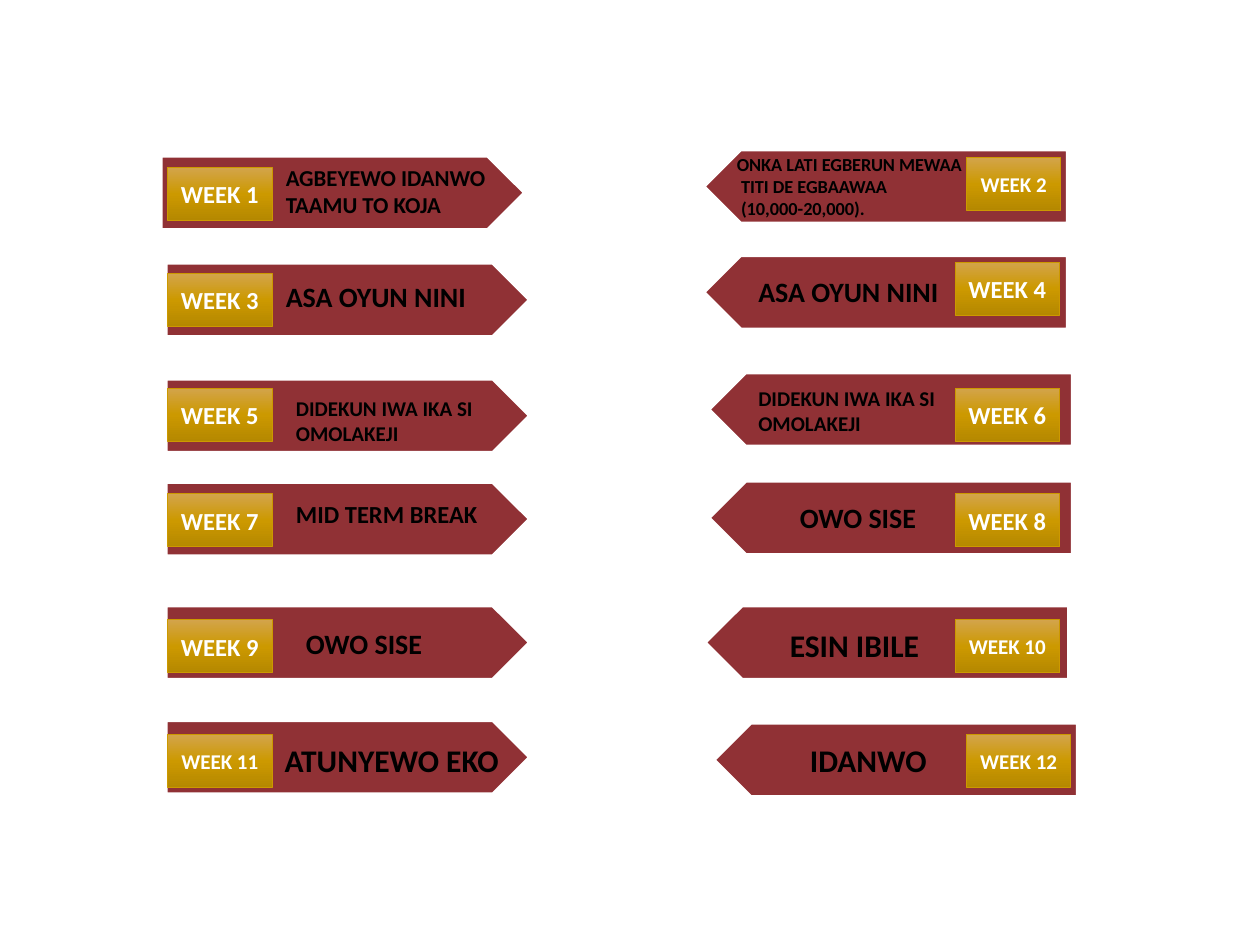
import copy

import pptx
import pptx.dml.color
import pptx.enum.shapes
import pptx.enum.text
import pptx.oxml.ns
import pptx.util

PX = 9144
MAROON = pptx.dml.color.RGBColor(0x90, 0x31, 0x35)
GOLD_LIGHT = pptx.dml.color.RGBColor(0xD3, 0xA4, 0x4B)
GOLD = pptx.dml.color.RGBColor(0xCC, 0x99, 0x00)
GOLD_DARK = pptx.dml.color.RGBColor(0xB5, 0x88, 0x00)
WHITE = pptx.dml.color.RGBColor(0xFF, 0xFF, 0xFF)
BLACK = pptx.dml.color.RGBColor(0x00, 0x00, 0x00)
SHAPES = pptx.enum.shapes.MSO_SHAPE

ARROW_SIZE = (288, 58)
BADGE_HEIGHT = 42

# arrow corner, badge (left, top, width, size), topic box, topic size, topic
WEEKS = [
    ((128, 124), (133, 133, 83, 14), (217, 125, 200, 54), 13, "AGBEYEWO IDANWO\nTAAMU TO KOJA"),
    ((559, 119), (767, 125, 75, 12), (575, 117, 258, 63), 10.5,
     "ONKA LATI EGBERUN MEWAA\n TITI DE EGBAAWAA\n (10,000-20,000)."),
    ((132, 209), (133, 217, 83, 14), (217, 217, 165, 37), 16, "ASA OYUN NINI"),
    ((559, 203), (758, 208, 83, 14), (592, 213, 165, 37), 16, "ASA OYUN NINI"),
    ((132, 301), (133, 308, 83, 14), (225, 309, 167, 50), 12, "DIDEKUN IWA IKA SI\nOMOLAKEJI"),
    ((563, 296), (758, 308, 83, 14), (592, 301, 167, 50), 12, "DIDEKUN IWA IKA SI\nOMOLAKEJI"),
    ((132, 383), (133, 392, 83, 14), (225, 391, 165, 34), 14, "MID TERM BREAK"),
    ((563, 382), (758, 392, 83, 14), (625, 392, 119, 37), 16, "OWO SISE"),
    ((132, 481), (133, 492, 83, 14), (233, 492, 119, 37), 16, "OWO SISE"),
    ((560, 481), (758, 492, 83, 12), (617, 492, 124, 40), 18, "ESIN IBILE"),
    ((132, 572), (133, 583, 83, 12), (216, 583, 192, 40), 18, "ATUNYEWO EKO"),
    ((567, 574), (767, 583, 83, 12), (633, 583, 114, 40), 18, "IDANWO"),
]


def add_block(preset, bounds, line_color, line_width):
    block = page.shapes.add_shape(preset, *[length * PX for length in bounds])
    block.shadow.inherit = False
    block.line.color.rgb = line_color
    block.line.width = pptx.util.Pt(line_width)
    return block


def write_text(box, text, size, color, alignment):
    box.text_frame.text = text
    for para in box.text_frame.paragraphs:
        para.alignment = alignment
        for span in para.runs:
            span.font.name = "Calibri"
            span.font.size = pptx.util.Pt(size)
            span.font.bold = True
            span.font.color.rgb = color


deck = pptx.Presentation()
deck.slide_width = 1000 * PX
deck.slide_height = 750 * PX
page = deck.slides.add_slide(deck.slide_layouts[6])

for number, (corner, badge_place, topic_bounds, topic_size, topic) in enumerate(WEEKS, 1):
    arrow = add_block(SHAPES.PENTAGON, corner + ARROW_SIZE, WHITE, 1.5)
    arrow.fill.solid()
    arrow.fill.fore_color.rgb = MAROON
    if number % 2 == 0:
        arrow._element.spPr.get_or_add_xfrm().set("flipH", "1")

    left, top, width, badge_size = badge_place
    badge = add_block(SHAPES.RECTANGLE, (left, top, width, BADGE_HEIGHT), GOLD, 0.5)
    badge.fill.gradient()
    badge.fill.gradient_angle = 270
    stop_list = badge._element.spPr.find(".//" + pptx.oxml.ns.qn("a:gsLst"))
    stop_list.insert(1, copy.deepcopy(stop_list[0]))
    stops = badge.fill.gradient_stops
    for stop, position, color in zip(stops, (0, 0.5, 1), (GOLD_LIGHT, GOLD, GOLD_DARK)):
        stop.position = position
        stop.color.rgb = color
    badge.text_frame.vertical_anchor = pptx.enum.text.MSO_ANCHOR.MIDDLE
    write_text(badge, f"WEEK {number}", badge_size, WHITE, pptx.enum.text.PP_ALIGN.CENTER)

    box = page.shapes.add_textbox(*[length * PX for length in topic_bounds])
    box.text_frame.word_wrap = number <= 2
    box.text_frame.auto_size = pptx.enum.text.MSO_AUTO_SIZE.SHAPE_TO_FIT_TEXT
    write_text(box, topic, topic_size, BLACK, pptx.enum.text.PP_ALIGN.LEFT)

deck.save("out.pptx")
